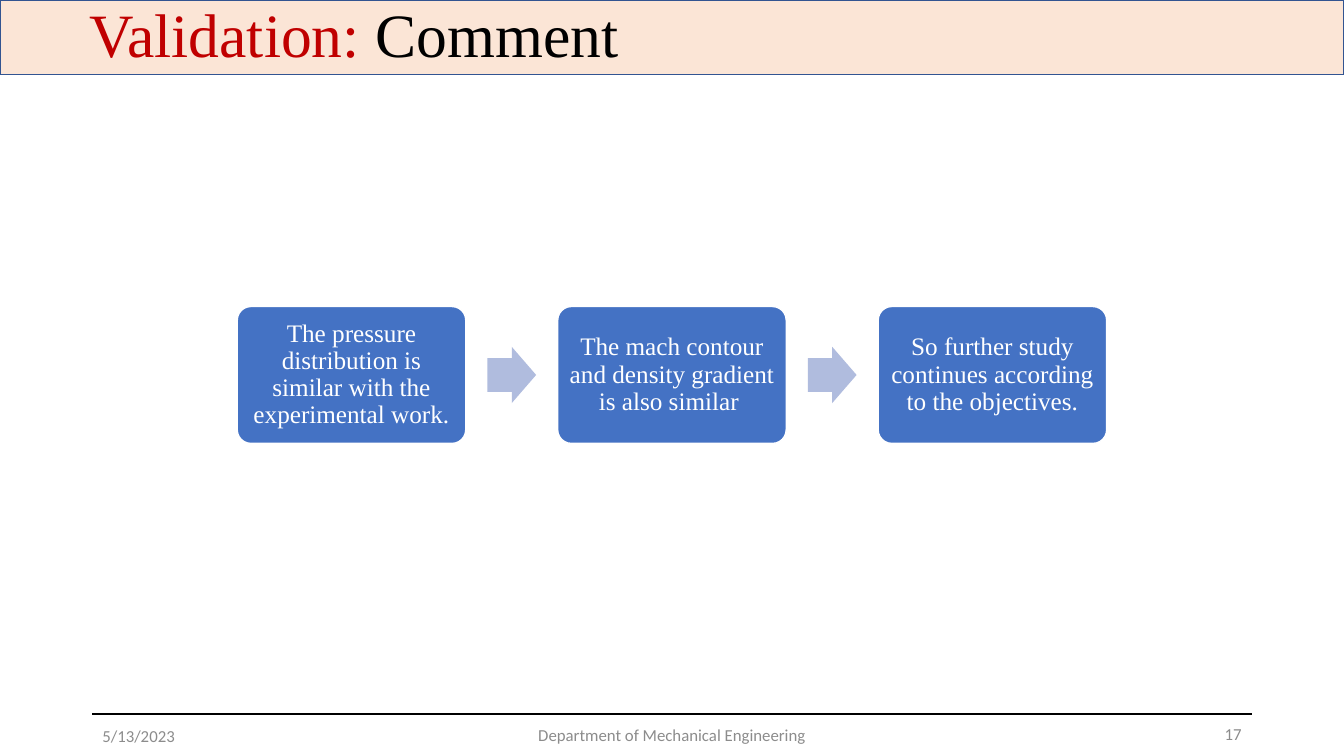
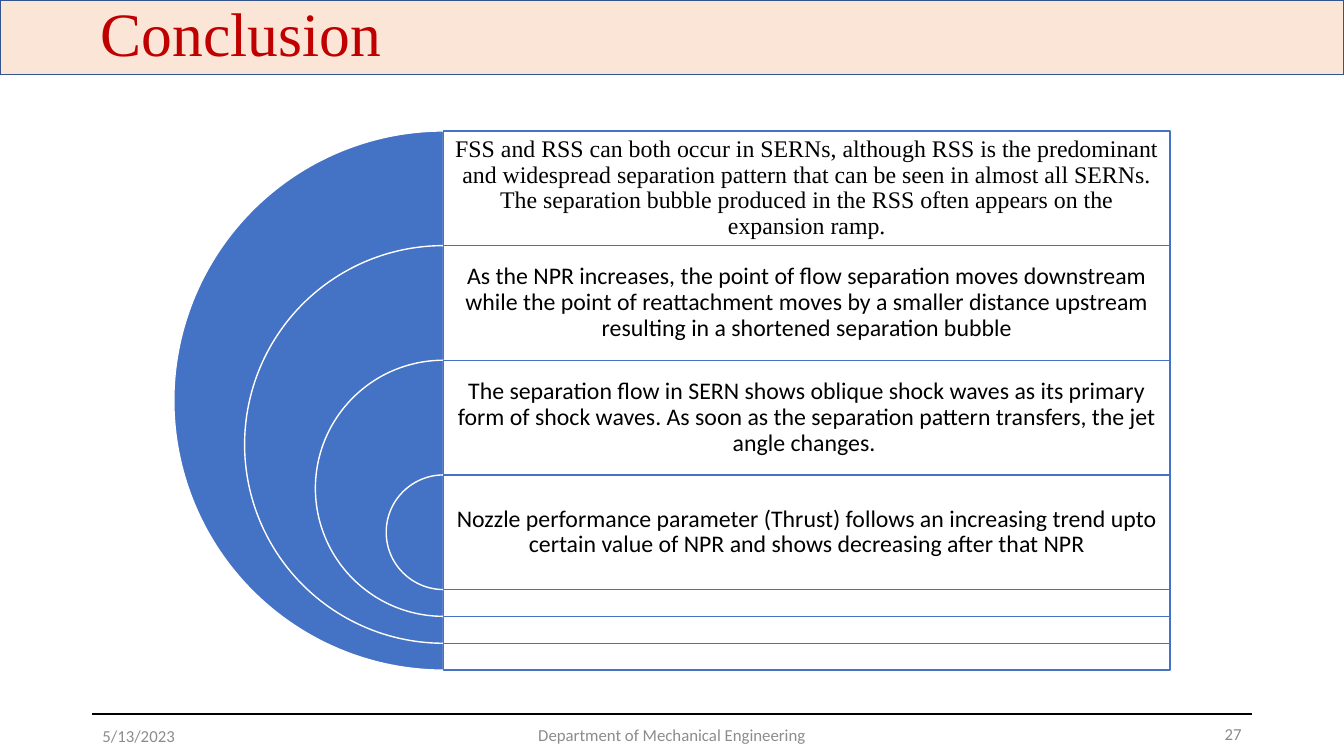
from lxml import etree
from pptx import Presentation
from pptx.dml.color import RGBColor
from pptx.enum.shapes import MSO_CONNECTOR, MSO_SHAPE
from pptx.enum.text import MSO_ANCHOR, PP_ALIGN
from pptx.oxml.ns import qn
from pptx.util import Inches, Pt

RECTANGLE, ROUNDED = MSO_SHAPE.RECTANGLE, MSO_SHAPE.ROUNDED_RECTANGLE
ARROW, PIE = MSO_SHAPE.RIGHT_ARROW, MSO_SHAPE.PIE
STRAIGHT = MSO_CONNECTOR.STRAIGHT
LEFT, CENTER, RIGHT = PP_ALIGN.LEFT, PP_ALIGN.CENTER, PP_ALIGN.RIGHT
TOP, MIDDLE = MSO_ANCHOR.TOP, MSO_ANCHOR.MIDDLE

# The slide is a grid of square cells.
COLUMNS, ROWS = 32, 18
WIDTH, HEIGHT = Inches(13.33), Inches(7.5)
CELL = WIDTH / COLUMNS
MARGIN = 2.2
FOOTER_TOP = 17

SERIF, SANS = "Times New Roman", "Calibri"
COLORS = {
    "band": "FBE5D6",
    "band_line": "325491",
    "title": "C00000",
    "black": "000000",
    "white": "FFFFFF",
    "footer": "8C8C8C",
    "accent": "4472C4",
    "arrow": "B0BCDE",
}

STEPS = [
    "The pressure distribution is similar with the experimental work.",
    "The mach contour and density gradient is also similar ",
    "So further study continues according to the objectives.",
]
FINDINGS = [
    ("FSS and RSS can both occur in SERNs, although RSS is the predominant and "
     "widespread separation pattern that can be seen in almost all SERNs. The "
     "separation bubble produced in the RSS often appears on the expansion ramp.", SERIF),
    ("As the NPR increases, the point of flow separation moves downstream while the "
     "point of reattachment moves by a smaller distance upstream resulting in a "
     "shortened separation bubble", SANS),
    ("The separation flow in SERN shows oblique shock waves as its primary form of "
     "shock waves. As soon as the separation pattern transfers, the jet angle "
     "changes. ", SANS),
    ("Nozzle performance parameter (Thrust) follows an increasing trend upto certain "
     "value of NPR and shows decreasing after that NPR", SANS),
]


def cells(*counts):
    return [round(count * CELL) for count in counts]


def color(name):
    return RGBColor.from_string(COLORS[name])


def write(shape, text, size=18, font=SERIF, ink="black", align=LEFT, anchor=MIDDLE,
          inset=None, spacing=None, wrap=True):
    """Fill a shape with one paragraph; text is a string or (string, color) runs."""
    frame = shape.text_frame
    frame.word_wrap = wrap
    frame.vertical_anchor = anchor
    if inset is not None:
        frame.margin_left = frame.margin_right = Inches(inset)
        frame.margin_top = frame.margin_bottom = Inches(inset)
    paragraph = frame.paragraphs[0]
    paragraph.alignment = align
    paragraph.line_spacing = spacing
    for words, run_ink in [(text, ink)] if isinstance(text, str) else text:
        run = paragraph.add_run()
        run.text = words
        run.font.size = Pt(size)
        run.font.name = font
        run.font.color.rgb = color(run_ink)


def add_text(slide, box, text, **text_format):
    write(slide.shapes.add_textbox(*cells(*box)), text, **text_format)


def add_figure(slide, kind, box, fill, line=None, adjustments=(), opacity=None):
    shape = slide.shapes.add_shape(kind, *cells(*box))
    shape.shadow.inherit = False
    for index, value in enumerate(adjustments):
        shape.adjustments[index] = value
    shape.fill.solid()
    shape.fill.fore_color.rgb = color(fill)
    if opacity is not None:
        fill_color = shape.fill._xPr.find(qn("a:solidFill"))[0]
        etree.SubElement(fill_color, qn("a:alpha"), val=str(opacity * 1000))
    if line:
        shape.line.color.rgb = color(line)
        shape.line.width = Pt(1)
    else:
        shape.line.fill.background()
    return shape


def add_rule(slide, left, right, top):
    rule = slide.shapes.add_connector(STRAIGHT, *cells(left, top, right, top))
    rule.line.color.rgb = color("black")
    rule.line.width = Pt(1.25)
    etree.SubElement(rule._element.spPr, qn("a:effectLst"))


def add_base_slide(presentation, title, title_box, number):
    """Add a slide with the title band, title, rule and footer."""
    slide = presentation.slides.add_slide(presentation.slide_layouts[6])
    add_rule(slide, MARGIN, COLUMNS - MARGIN, FOOTER_TOP)
    add_figure(slide, RECTANGLE, (0, 0, COLUMNS, 1.78), "band", "band_line")
    add_text(slide, title_box, title, size=44, ink="title", anchor=TOP, wrap=False)
    side, middle = 7.2, 10.8
    footer = [
        ("5/13/2023", MARGIN, 0.04, side, LEFT),
        ("Department of Mechanical Engineering", (COLUMNS - middle) / 2, 0.02, middle, CENTER),
        (number, COLUMNS - MARGIN - side, 0, side, RIGHT),
    ]
    for text, left, drop, width, align in footer:
        add_text(slide, (left, FOOTER_TOP + drop, width, 0.96), text,
                 size=12, font=SANS, ink="footer", align=align)
    return slide


def add_process(slide, steps):
    """Draw a centred row of boxes with an arrow in each gap."""
    width, height, gap, middle = 5.44, 3.26, 2.19, 8.93
    arrow_width, arrow_height = 1.16, 1.34
    pitch = width + gap
    first = (COLUMNS - len(steps) * pitch + gap) / 2
    for index, step in enumerate(steps):
        left = first + index * pitch
        if index:
            add_figure(slide, ARROW,
                       (left - (gap + arrow_width) / 2, middle - arrow_height / 2,
                        arrow_width, arrow_height), "arrow", adjustments=(0.6, 0.5))
        box = add_figure(slide, ROUNDED, (left, middle - height / 2, width, height),
                         "accent", "white", adjustments=(0.1,))
        write(box, step, ink="white", align=CENTER, inset=0.07, spacing=0.9)


def add_nested_list(slide, findings):
    """Draw shrinking half discs, each with a panel whose top row holds text."""
    center, first_top, width = 10.56, 3.12, 17.3
    largest, row = 12.84, 2.73
    shrink = (largest - row) / (len(findings) - 1)
    for index, (text, font) in enumerate(findings):
        top = first_top + index * row
        size = largest - index * shrink
        add_figure(slide, PIE, (center - size / 2, top, size, size),
                   "accent", "white", adjustments=(54, 162))
        add_figure(slide, RECTANGLE, (center, top, width, size),
                   "white", "accent", opacity=90)
        add_text(slide, (center, top, width, row), text, size=17, font=font,
                 align=CENTER, inset=0.07, spacing=0.9)


def main():
    presentation = Presentation()
    presentation.slide_width, presentation.slide_height = WIDTH, HEIGHT

    validation = add_base_slide(
        presentation, [("Validation: ", "title"), ("Comment", "black")],
        (1.9, -0.22, 13.2, 2.02), "17")
    add_process(validation, STEPS)

    conclusion = add_base_slide(
        presentation, "Conclusion", (2.16, -0.24, 7.22, 2.02), "27")
    add_nested_list(conclusion, FINDINGS)

    presentation.save("out.pptx")


if __name__ == "__main__":
    main()
